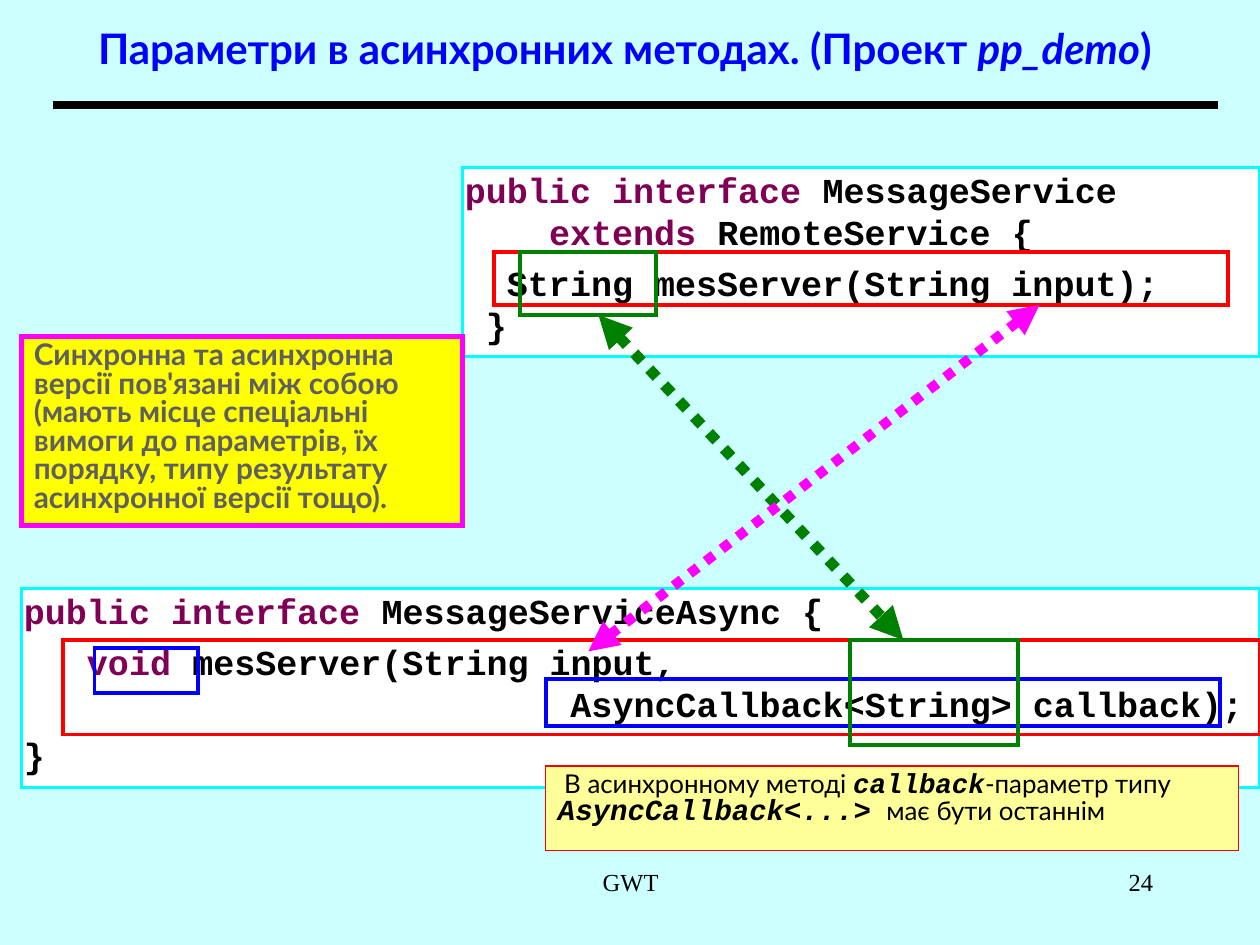
from dataclasses import dataclass
from typing import Optional

import lxml.etree
import pptx
import pptx.dml.color
import pptx.enum.dml
import pptx.enum.shapes
import pptx.enum.text
import pptx.oxml.ns
import pptx.util

Inches = pptx.util.Inches
Pt = pptx.util.Pt
Align = pptx.enum.text.PP_ALIGN
Anchor = pptx.enum.text.MSO_ANCHOR


@dataclass(frozen=True)
class Theme:
    background: str = "CCFFFF"
    black: str = "000000"
    white: str = "FFFFFF"
    blue: str = "0000FF"
    cyan: str = "00FFFF"
    red: str = "FF0000"
    green: str = "008000"
    magenta: str = "FF00FF"
    yellow: str = "FFFF00"
    pale_yellow: str = "FFFF99"
    gray: str = "5F5F5F"
    keyword: str = "7F0055"
    sans: str = "Lato"
    mono: str = "Courier New"
    serif: str = "Times New Roman"
    title_size: float = 24
    code_size: float = 20
    remark_size: float = 17
    note_size: float = 14.8
    footer_size: float = 14
    frame_width: float = 2.25


T = Theme()


@dataclass(frozen=True)
class Run:
    text: str
    font: str
    size: float
    color: str = T.black
    bold: bool = False
    italic: bool = False


@dataclass(frozen=True)
class Box:
    left: float
    top: float
    width: float
    height: float
    line: Optional[str] = None
    line_width: float = T.frame_width
    fill: Optional[str] = None


@dataclass(frozen=True)
class Text:
    paragraphs: list[list[Run]]
    insets: tuple[float, float, float, float] = (0.1, 0.05, 0.1, 0.05)
    align: Align = Align.LEFT
    anchor: Anchor = Anchor.TOP
    line_spacing: float = 1.0
    space_before: float = 0
    indent: float = 0


@dataclass(frozen=True)
class Link:
    start: tuple[float, float]
    end: tuple[float, float]
    color: str
    width: float
    dotted_arrow: bool = True


def rgb(value: str) -> pptx.dml.color.RGBColor:
    return pptx.dml.color.RGBColor.from_string(value)


def add_xml(parent, tag: str, **attributes: str) -> None:
    lxml.etree.SubElement(parent, pptx.oxml.ns.qn(tag), **attributes)


def write_text(sp, text: Text) -> None:
    tf = sp.text_frame
    tf.word_wrap = True
    tf.vertical_anchor = text.anchor
    (tf.margin_left, tf.margin_top,
     tf.margin_right, tf.margin_bottom) = map(Inches, text.insets)
    for i, runs in enumerate(text.paragraphs):
        p = tf.add_paragraph() if i else tf.paragraphs[0]
        p.alignment = text.align
        p.line_spacing = text.line_spacing
        if i:
            p.space_before = Pt(text.space_before)
        if text.indent:
            p._p.get_or_add_pPr().set("indent", str(Inches(text.indent)))
        for run in runs:
            for j, part in enumerate(run.text.split("\n")):
                if j:
                    p.add_line_break()
                r = p.add_run()
                r.text = part
                r.font.name = run.font
                r.font.size = Pt(run.size)
                r.font.bold = run.bold
                r.font.italic = run.italic
                r.font.color.rgb = rgb(run.color)


def add_box(s, box: Box, text: Optional[Text] = None) -> None:
    place = map(Inches, (box.left, box.top, box.width, box.height))
    if box.line is None:
        sp = s.shapes.add_textbox(*place)
    else:
        sp = s.shapes.add_shape(pptx.enum.shapes.MSO_SHAPE.RECTANGLE, *place)
        sp.shadow.inherit = False
        sp.line.color.rgb = rgb(box.line)
        sp.line.width = Pt(box.line_width)
        add_xml(sp.line._get_or_add_ln(), "a:miter", lim="800000")
        if box.fill:
            sp.fill.solid()
            sp.fill.fore_color.rgb = rgb(box.fill)
        else:
            sp.fill.background()
    if text:
        write_text(sp, text)


def add_link(s, link: Link) -> None:
    sp = s.shapes.add_connector(
        pptx.enum.shapes.MSO_CONNECTOR.STRAIGHT,
        *map(Inches, link.start + link.end))
    sp.line.color.rgb = rgb(link.color)
    sp.line.width = Pt(link.width)
    if link.dotted_arrow:
        sp.line.dash_style = pptx.enum.dml.MSO_LINE.ROUND_DOT
        for end in ("a:headEnd", "a:tailEnd"):
            add_xml(sp.line._get_or_add_ln(), end, type="triangle")
    add_xml(sp._element.spPr, "a:effectLst")


def code(text: str, color: str = T.black) -> Run:
    return Run(text, T.mono, T.code_size, color, bold=True)


def keyword(text: str) -> Run:
    return code(text, T.keyword)


def code_text(paragraphs: list[list[Run]]) -> Text:
    return Text(paragraphs, insets=(0.02, 0.01, 0, 0.01), space_before=5)


def note(text: str) -> Run:
    return Run(text, T.sans, T.note_size)


def note_code(text: str, size: float) -> Run:
    return Run(text, T.mono, size, bold=True, italic=True)


def title(text: str, italic: bool = False) -> Run:
    return Run(text, T.sans, T.title_size, T.blue, True, italic)


def footer(text: str, align: Align) -> Text:
    return Text([[Run(text, T.serif, T.footer_size)]], align=align)


def main() -> None:
    prs = pptx.Presentation()
    prs.slide_width, prs.slide_height = Inches(10), Inches(7.5)
    s = prs.slides.add_slide(prs.slide_layouts[6])
    s.background.fill.solid()
    s.background.fill.fore_color.rgb = rgb(T.background)

    add_link(s, Link((0.42, 0.83), (9.67, 0.83), T.black, 4.5, False))
    add_box(s, Box(0, 0, 10, 0.83), Text(
        [[title("Параметри в асинхронних методах. (Проект "),
          title("pp_demo", italic=True), title(")")]],
        insets=(0.1, 0.05, 0.18, 0.05),
        align=Align.CENTER, anchor=Anchor.MIDDLE, line_spacing=0.8))

    add_box(s, Box(3.67, 1.33, 6.33, 1.5, T.cyan, 2, T.white), code_text([
        [keyword("public interface"), code(" MessageService\n    "),
         keyword("extends "), code("RemoteService {")],
        [code("  String mesServer(String input);\n }")]]))
    add_box(s, Box(0.17, 4.67, 9.83, 1.58, T.cyan, 2, T.white), code_text([
        [keyword("public interface"), code(" MessageServiceAsync {")],
        [keyword("   void"), code(" mesServer(String input,\n" + " " * 26
                                  + "AsyncCallback<String> callback);")],
        [code("}")]]))

    for frame in (Box(3.92, 2, 5.83, 0.42, T.red),
                  Box(0.5, 5.08, 9.5, 0.75, T.red),
                  Box(4.13, 2, 1.08, 0.5, T.green),
                  Box(0.75, 5.14, 0.82, 0.36, T.blue),
                  Box(4.33, 5.39, 5.35, 0.37, T.blue)):
        add_box(s, frame)
    add_link(s, Link((4.75, 2.5), (7.17, 5.08), T.green, 6.25))
    add_box(s, Box(6.75, 5.08, 1.33, 0.83, T.green))

    add_box(s, Box(4.33, 6.08, 5.5, 0.67, T.red, 1, T.pale_yellow), Text(
        [[note("В асинхронному методі "), note_code("callback", 15.7),
          note("-параметр типу "), note_code("AsyncCallback<...>", 16.6),
          Run(" ", T.mono, T.note_size), note("має бути останнім")]],
        line_spacing=0.8, indent=0.05))
    add_link(s, Link((8.25, 2.42), (4.67, 5.17), T.magenta, 5.75))
    add_box(s, Box(0.17, 2.67, 3.5, 1.5, T.magenta, 3, T.yellow), Text(
        [[Run("Синхронна та асинхронна версії пов'язані між собою "
              "(мають місце спеціальні вимоги до параметрів, їх порядку, "
              "типу результату асинхронної версії тощо).",
              T.sans, T.remark_size, T.gray, bold=True)]],
        insets=(0.1, 0.05, 0.02, 0.05), line_spacing=0.8))

    add_box(s, Box(3.42, 6.83, 3.17, 0.5), footer("GWT", Align.CENTER))
    add_box(s, Box(7.17, 6.83, 2.08, 0.5), footer("24", Align.RIGHT))
    prs.save("out.pptx")


if __name__ == "__main__":
    main()
